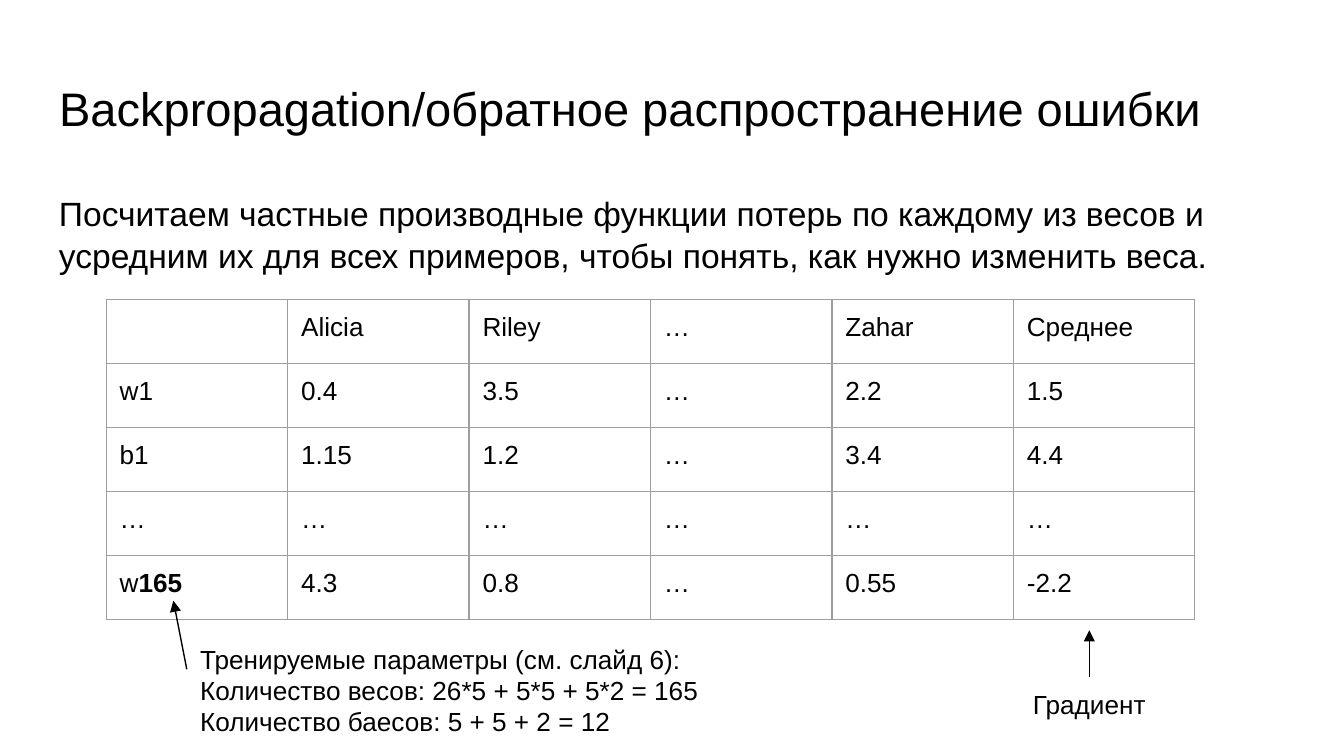
from pptx import Presentation
from pptx.dml.color import RGBColor
from pptx.enum.shapes import MSO_CONNECTOR
from pptx.enum.text import MSO_ANCHOR, MSO_AUTO_SIZE, PP_ALIGN
from pptx.oxml.ns import qn
from pptx.util import Inches, Pt
from lxml import etree

BLACK = RGBColor(0x00, 0x00, 0x00)
GRID = RGBColor(0x9E, 0x9E, 0x9E)
FONT = "Arial"
INSET = Inches(0.1)
TOP, MIDDLE = MSO_ANCHOR.TOP, MSO_ANCHOR.MIDDLE
LEFT, CENTER = PP_ALIGN.LEFT, PP_ALIGN.CENTER
STRAIGHT = MSO_CONNECTOR.STRAIGHT
NO_AUTOFIT = MSO_AUTO_SIZE.NONE

ROWS = [
    ["", "Alicia", "Riley", "…", "Zahar", "Среднее"],
    ["w1", "0.4", "3.5", "…", "2.2", "1.5"],
    ["b1", "1.15", "1.2", "…", "3.4", "4.4"],
    ["…"] * 6,
    ["w", "4.3", "0.8", "…", "0.55", "-2.2"],
]


def style_run(r, size, bold=False):
    r.font.name = FONT
    r.font.size = Pt(size)
    r.font.bold = bold
    r.font.color.rgb = BLACK


def set_insets(obj):
    obj.margin_left = obj.margin_top = obj.margin_right = obj.margin_bottom = INSET


def fill_text(tf, text, size, anchor=TOP, align=LEFT, spacing=1.0):
    tf.text = text
    tf.word_wrap = True
    tf.auto_size = NO_AUTOFIT
    tf.vertical_anchor = anchor
    set_insets(tf)
    for p in tf.paragraphs:
        p.alignment = align
        p.line_spacing = spacing
        for r in p.runs:
            style_run(r, size)


def add_title(slide, box, text):
    sp = slide.shapes.title
    sp.left, sp.top, sp.width, sp.height = map(Inches, box)
    fill_text(sp.text_frame, text, 25.2)


def add_text(slide, box, text, size, **layout):
    sp = slide.shapes.add_textbox(*map(Inches, box))
    fill_text(sp.text_frame, text, size, **layout)


def add_arrow(slide, start, end):
    line = slide.shapes.add_connector(STRAIGHT, *map(Inches, start + end))
    line.line.color.rgb = BLACK
    line.line.width = Pt(0.75)
    ln = line._element.spPr.find(qn("a:ln"))
    etree.SubElement(ln, qn("a:tailEnd"), type="triangle")
    etree.SubElement(line._element.spPr, qn("a:effectLst"))


def set_borders(cell):
    tc_pr = cell._tc.get_or_add_tcPr()
    for side in ("lnL", "lnR", "lnT", "lnB"):
        ln = etree.SubElement(tc_pr, qn(f"a:{side}"), w=str(Pt(0.75)))
        fill = etree.SubElement(ln, qn("a:solidFill"))
        etree.SubElement(fill, qn("a:srgbClr"), val=str(GRID))


def add_gradient_table(slide, box, rows):
    frame = slide.shapes.add_table(len(rows), len(rows[0]), *map(Inches, box))
    table = frame.table
    table.first_row = table.horz_banding = False
    for i, row in enumerate(rows):
        for j, text in enumerate(row):
            cell = table.cell(i, j)
            set_borders(cell)
            cell.fill.background()
            set_insets(cell)
            p = cell.text_frame.paragraphs[0]
            if text:
                p.text = text
                style_run(p.runs[0], 14)
            else:
                # An empty cell keeps the row height of 14 pt text
                etree.SubElement(p._p, qn("a:endParaRPr"), sz="1400")
    # Bold count of weights in the last row label
    r = table.cell(len(rows) - 1, 0).text_frame.paragraphs[0].add_run()
    r.text = "165"
    style_run(r, 14, bold=True)


def add_parameter_note(slide, box):
    x, y, w, h = box
    text = ("Тренируемые параметры (см. слайд 6):\n"
            "Количество весов: 26*5 + 5*5 + 5*2 = 165\n"
            "Количество баесов: 5 + 5 + 2 = 12")
    add_text(slide, box, text, 14, anchor=MIDDLE)
    add_arrow(slide, (x, y - 0.06), (x - 0.1, y - 0.57))


def add_gradient_label(slide, box):
    x, y, w, h = box
    add_text(slide, box, "Градиент", 14, anchor=MIDDLE, align=CENTER)
    middle = x + w / 2
    add_arrow(slide, (middle, y - 0.05), (middle, y - 0.4))


def main():
    prs = Presentation()
    # Widescreen 16:9
    prs.slide_width = Inches(10)
    prs.slide_height = prs.slide_width * 9 // 16
    slide = prs.slides.add_slide(prs.slide_layouts[5])

    # Heading and explanation
    add_title(slide, (0.34, 0.49, 9.32, 0.63),
              "Backpropagation/обратное распространение ошибки")
    add_text(slide, (0.34, 1.33, 9.28, 0.75),
             "Посчитаем частные производные функции потерь по каждому из весов "
             "и усредним их для всех примеров, чтобы понять, как нужно "
             "изменить веса.", 18, spacing=1.03)

    # Partial derivatives with their notes
    add_gradient_table(slide, (0.79, 2.23, 8.1, 2.38), ROWS)
    add_gradient_label(slide, (7.41, 5.09, 1.39, 0.29))
    add_parameter_note(slide, (1.39, 5.04, 4.09, 0.19))

    prs.save("out.pptx")


if __name__ == "__main__":
    main()
